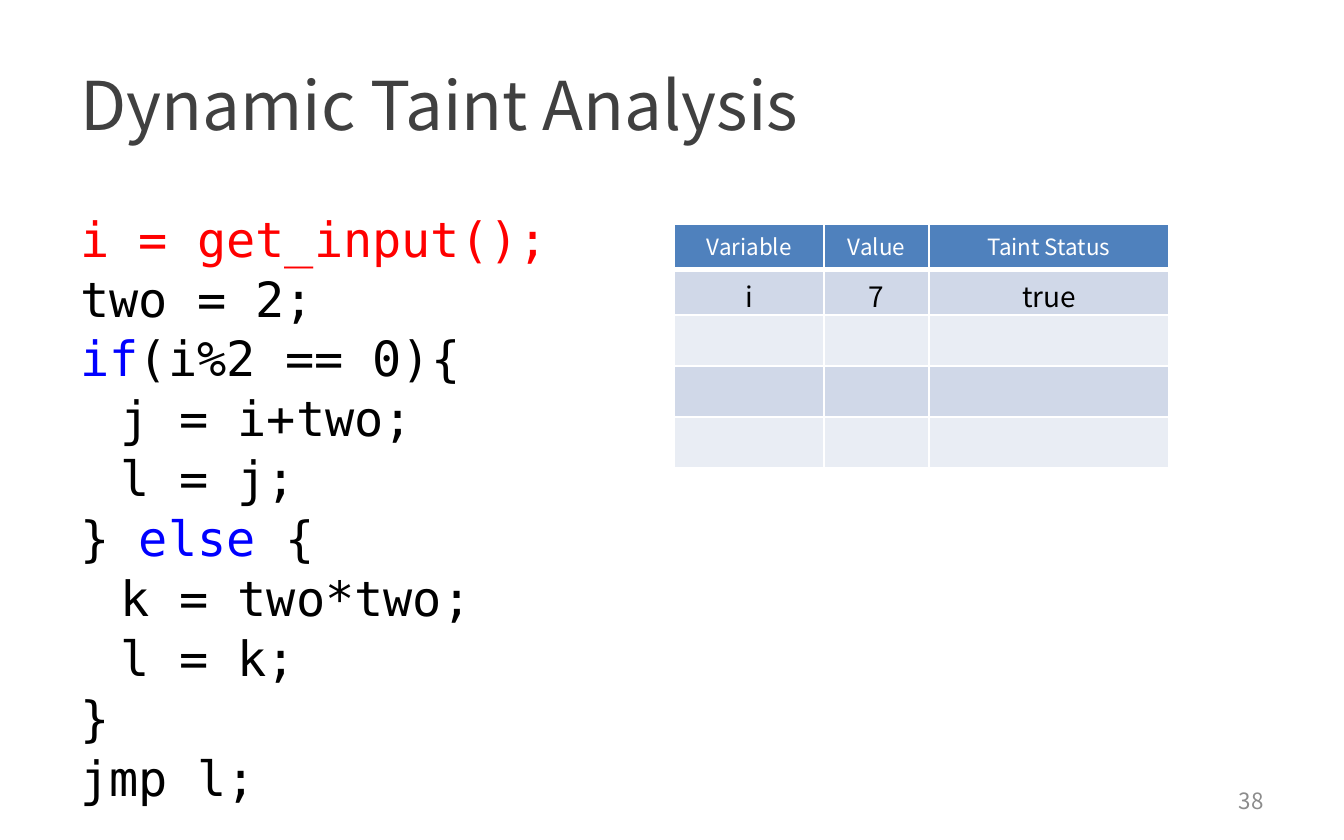
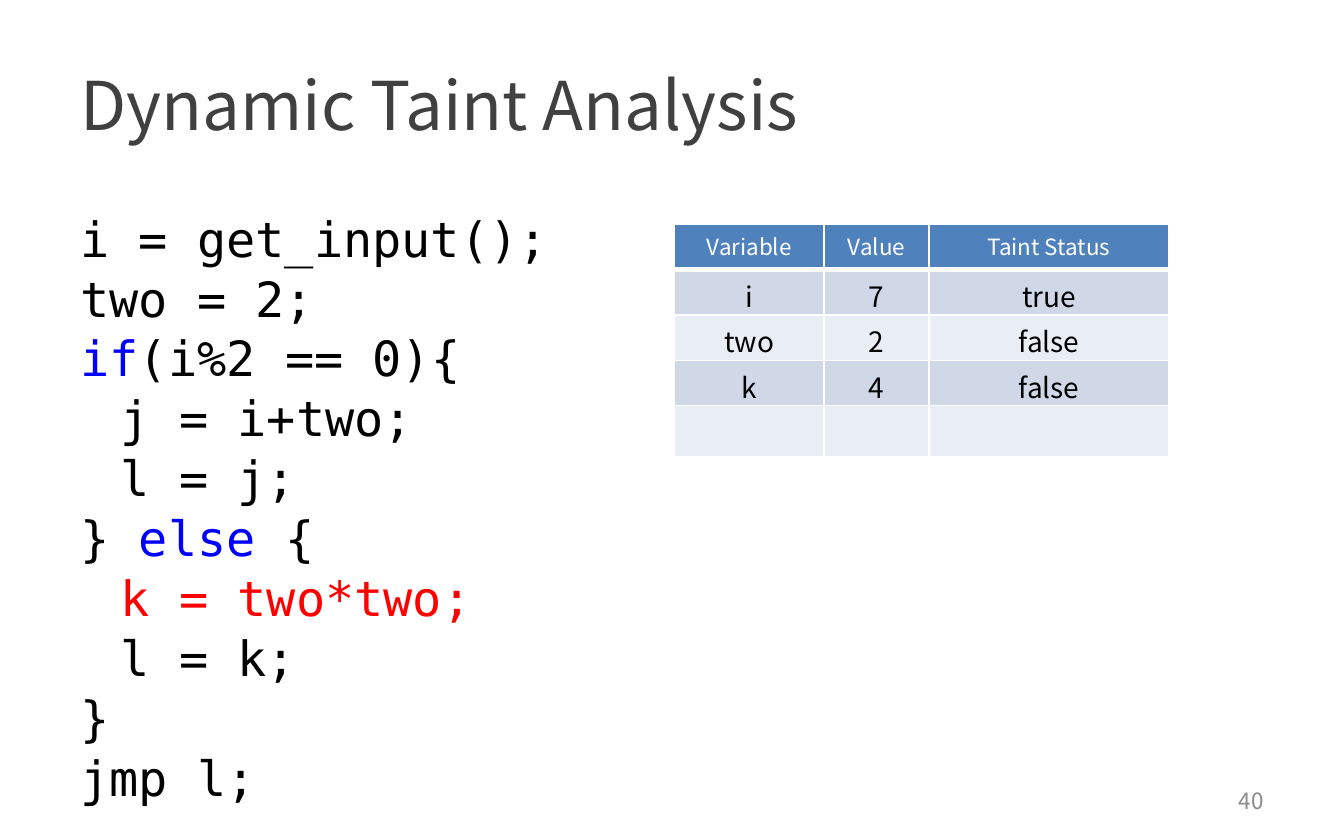
from lxml.etree import SubElement
from pptx import Presentation
from pptx.dml.color import RGBColor
from pptx.enum.text import MSO_ANCHOR, PP_ALIGN
from pptx.oxml.ns import qn
from pptx.util import Inches, Pt

WIDTH, HEIGHT = Inches(10), Inches(6.25)
SANS, MONO = "Noto Sans CJK SC", "DejaVu Sans Mono"
BLACK, WHITE, GRAPHITE, GREY = "000000", "FFFFFF", "404040", "8C8C8C"
CURRENT, KEYWORD = "FF0000", "0000FF"
HEADER_FILL, ROW_FILLS = "4F81BD", ("D0D8E8", "E9EDF4")

TITLE_BOX = (0.05, 0.04, 0.9, 0.167)
CODE_BOX = (0.05, 0.234, 0.442, 0.659)
TABLE_BOX = (0.502, 0.267, 0.368, 0.27)
NUMBER_BOX = (0.717, 0.926, 0.233, 0.053)

COLUMN_SHARES = (0.302, 0.212, 0.486)
HEADINGS = ("Variable", "Value", "Taint Status")
TABLE_ROWS = 5
KEYWORDS = ("if", "else")
PROGRAM = [
    (0, ["i = get_input();"]),
    (0, ["two = 2;"]),
    (0, ["if", "(i%2 == 0){"]),
    (1, ["j = i+two;"]),
    (1, ["l = j;"]),
    (0, ["} ", "else", " {"]),
    (1, ["k = two*two;"]),
    (1, ["l = k;"]),
    (0, ["}"]),
    (0, ["jmp l;"]),
]
STEPS = [
    (38, 0, [("i", "7", "true")]),
    (40, 6, [("i", "7", "true"), ("two", "2", "false"), ("k", "4", "false")]),
]


def rgb(color):
    return RGBColor.from_string(color)


def place(box):
    left, top, width, height = box
    return (int(left * WIDTH), int(top * HEIGHT),
            int(width * WIDTH), int(height * HEIGHT))


def style(paragraph, name, size, color, align=PP_ALIGN.LEFT):
    paragraph.alignment = align
    paragraph.font.name = name
    paragraph.font.size = Pt(size)
    paragraph.font.color.rgb = rgb(color)


def add_frame(slide, box, anchor=MSO_ANCHOR.MIDDLE):
    frame = slide.shapes.add_textbox(*place(box)).text_frame
    frame.word_wrap = True
    frame.vertical_anchor = anchor
    return frame


def add_label(slide, box, text, size, color, align=PP_ALIGN.LEFT):
    label = add_frame(slide, box).paragraphs[0]
    label.text = text
    style(label, SANS, size, color, align)


def add_code(slide, box, current):
    frame = add_frame(slide, box, MSO_ANCHOR.TOP)
    frame.margin_top = Inches(0.09)
    for index, (level, pieces) in enumerate(PROGRAM):
        line = frame.add_paragraph() if index else frame.paragraphs[0]
        line.level = level
        if level:
            properties = line._p.get_or_add_pPr()
            properties.set("marL", str(Inches(0.3)))
            properties.set("indent", "0")
        if index:
            line.space_before = Pt(0.9)
        style(line, MONO, 26, CURRENT if index == current else BLACK)
        for piece in pieces:
            run = line.add_run()
            run.text = piece
            if piece in KEYWORDS:
                run.font.color.rgb = rgb(KEYWORD)


def add_borders(cell, bottom):
    properties = cell._tc.get_or_add_tcPr()
    widths = {"a:lnL": 1, "a:lnR": 1, "a:lnT": 1, "a:lnB": bottom}
    for position, (side, width) in enumerate(widths.items()):
        line = SubElement(properties, qn(side), w=str(Pt(width)))
        fill = SubElement(line, qn("a:solidFill"))
        SubElement(fill, qn("a:srgbClr"), val=WHITE)
        properties.insert(position, line)


def add_taint_table(slide, box, states):
    left, top, width, height = place(box)
    table = slide.shapes.add_table(TABLE_ROWS, len(HEADINGS),
                                   left, top, width, height).table
    for column, share in zip(table.columns, COLUMN_SHARES):
        column.width = int(width * share)
    blanks = [("",) * len(HEADINGS)] * (TABLE_ROWS - 1 - len(states))
    for row, texts in enumerate([HEADINGS, *states, *blanks]):
        heading = row == 0
        for column, text in enumerate(texts):
            cell = table.cell(row, column)
            cell.margin_top = cell.margin_bottom = Inches(0.04)
            cell.fill.solid()
            cell.fill.fore_color.rgb = rgb(
                HEADER_FILL if heading else ROW_FILLS[(row - 1) % 2])
            add_borders(cell, 3 if heading else 1)
            if text:
                cell.text = text
                style(cell.text_frame.paragraphs[0], SANS,
                      12 if heading else 15,
                      WHITE if heading else BLACK, PP_ALIGN.CENTER)


def add_step(deck, number, current, states):
    slide = deck.slides.add_slide(deck.slide_layouts[6])
    add_code(slide, CODE_BOX, current)
    add_taint_table(slide, TABLE_BOX, states)
    add_label(slide, NUMBER_BOX, str(number), 12, GREY, PP_ALIGN.RIGHT)
    add_label(slide, TITLE_BOX, "Dynamic Taint Analysis", 36, GRAPHITE)


def main():
    deck = Presentation()
    deck.slide_width, deck.slide_height = WIDTH, HEIGHT
    for step in STEPS:
        add_step(deck, *step)
    deck.save("out.pptx")


if __name__ == "__main__":
    main()
